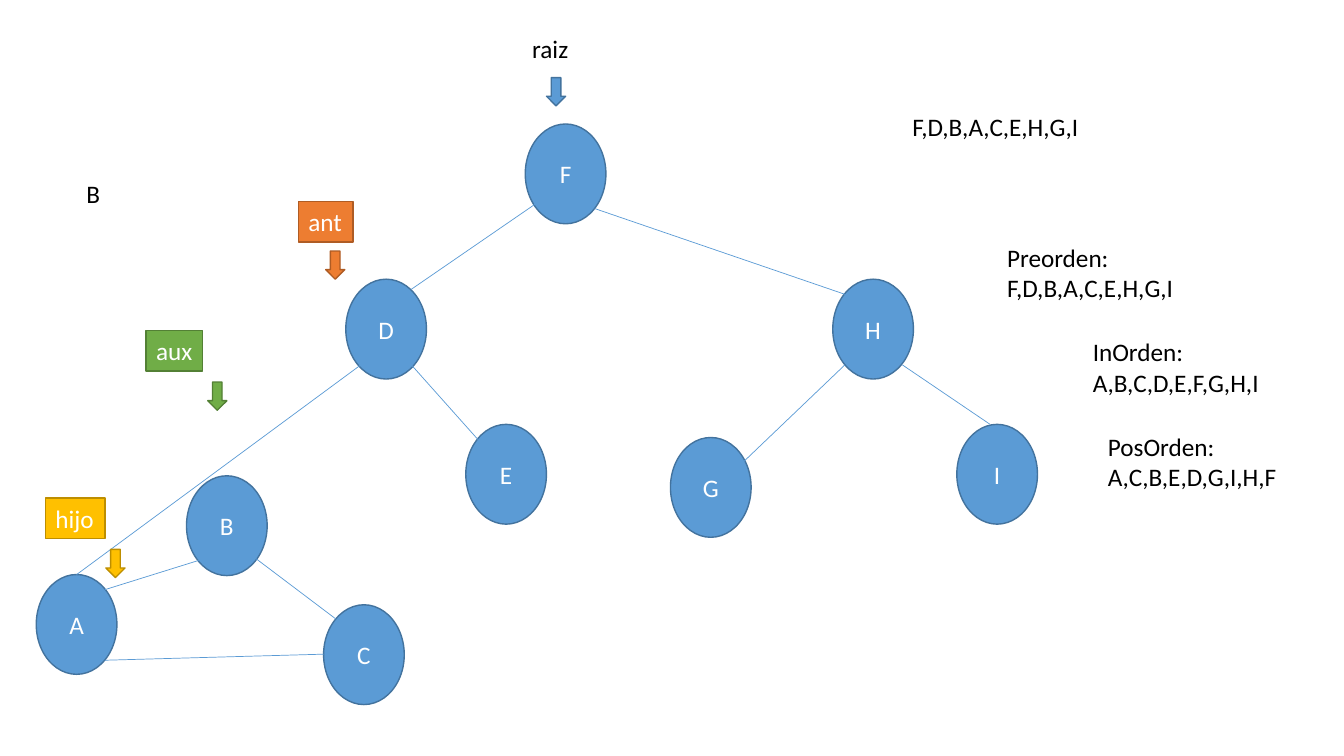
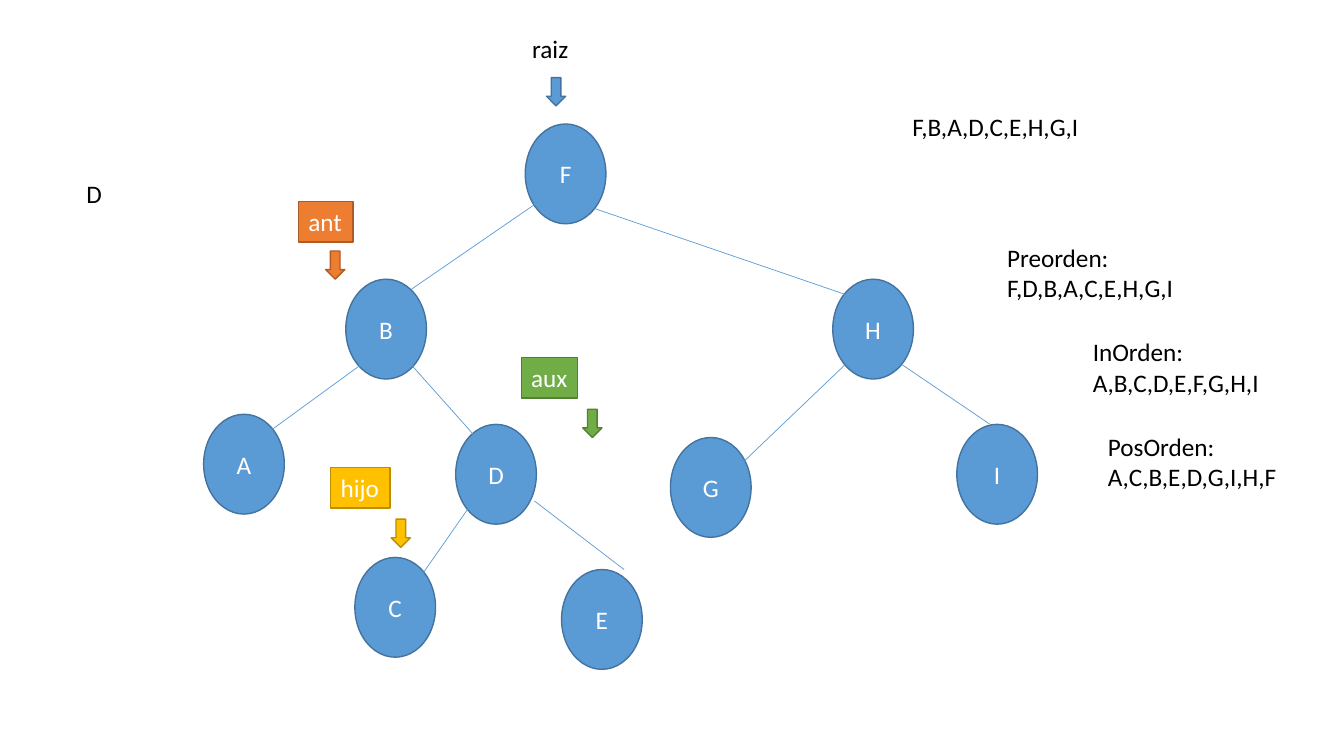
from lxml import etree
from pptx import Presentation
from pptx.dml.color import RGBColor
from pptx.enum.shapes import MSO_CONNECTOR, MSO_SHAPE
from pptx.enum.text import MSO_ANCHOR, MSO_AUTO_SIZE, PP_ALIGN
from pptx.oxml.ns import qn
from pptx.util import Inches, Pt

OVAL, RECT, DOWN = MSO_SHAPE.OVAL, MSO_SHAPE.RECTANGLE, MSO_SHAPE.DOWN_ARROW
LINE = MSO_CONNECTOR.STRAIGHT
MID, TOP = MSO_ANCHOR.MIDDLE, MSO_ANCHOR.TOP
LEFT, CENTER = PP_ALIGN.LEFT, PP_ALIGN.CENTER
GROW = MSO_AUTO_SIZE.SHAPE_TO_FIT_TEXT

HUES = {
    "blue": "5B9BD5", "navy": "43739E",
    "green": "70AD47", "moss": "538035",
    "orange": "ED7D31", "rust": "AF5C24",
    "gold": "FFC000", "ochre": "BD8E00",
    "white": "FFFFFF", "black": "000000",
}
FONT = {"name": "Calibri", "size": Pt(18)}
NODE = {"vertical_anchor": MID, "word_wrap": True}
LABEL = {"vertical_anchor": TOP, "word_wrap": False, "auto_size": GROW}

TAGS = {
    "aux": (0.56, 0.61, 0.51, "green", "moss"),
    "ant": (0.54, 0.27, 0.49, "orange", "rust"),
    "hijo": (0.59, 0.6, 0.51, "gold", "ochre"),
}

NODES = {"F": (5.21, 1.23), "H": (8.26, 2.77), "G": (6.65, 4.34), "I": (9.49, 4.21)}
EDGES = [
    (5.33, 2.01, 4.08, 2.87),
    (5.9, 2.07, 8.38, 2.92),
    (4.08, 3.62, 4.74, 4.36),
    (8.38, 3.62, 7.25, 4.7),
    (8.95, 3.62, 9.82, 4.21),
]
NOTES = [
    ("raiz", 5.18, 0.28, 0.56, 0.4),
    ("Preorden:\nF,D,B,A,C,E,H,G,I", 9.89, 2.35, 1.87, 0.71),
    ("InOrden:\nA,B,C,D,E,F,G,H,I", 10.74, 3.29, 1.86, 0.71),
    ("PosOrden:\nA,C,B,E,D,G,I,H,F", 10.89, 4.23, 1.89, 0.71),
]
TREES = [
    {
        "nodes": {"D": (3.43, 2.77), "B": (1.85, 4.72), "E": (4.62, 4.21),
                  "A": (0.36, 5.7), "C": (3.21, 6)},
        "edges": [(3.66, 3.56, 0.76, 5.7), (1.97, 5.56, 1.04, 5.85),
                  (2.43, 5.46, 3.33, 6.14), (1.04, 6.55, 3.21, 6.49)],
        "tags": {"aux": (1.45, 3.28), "ant": (2.96, 2), "hijo": (0.45, 4.94)},
        "notes": [("B", 0.76, 1.72, 0.34, 0.4),
                  ("F,D,B,A,C,E,H,G,I", 8.95, 1.06, 1.87, 0.4)],
    },
    {
        "nodes": {"B": (3.43, 2.77), "D": (4.52, 4.21), "A": (2.02, 4.11),
                  "E": (5.57, 5.65), "C": (3.52, 5.53)},
        "edges": [(3.66, 3.56, 2.7, 4.26), (5.3, 4.97, 6.19, 5.65),
                  (4.2, 5.68, 4.64, 5.05)],
        "tags": {"aux": (5.17, 3.55), "ant": (2.96, 2), "hijo": (3.28, 4.64)},
        "notes": [("D", 0.76, 1.72, 0.36, 0.4),
                  ("F,B,A,D,C,E,H,G,I", 8.95, 1.06, 1.87, 0.4)],
    },
]


def draw(slide, kind, box, fill, edge):
    shape = slide.shapes.add_shape(kind, *map(Inches, box))
    shape.shadow.inherit = False
    shape.fill.solid()
    shape.fill.fore_color.rgb = RGBColor.from_string(HUES[fill])
    shape.line.color.rgb = RGBColor.from_string(HUES[edge])
    shape.line.width = Pt(1)
    return shape


def write(shape, text, frame, align, hue):
    body = shape.text_frame
    body.text = text
    for key, value in frame.items():
        setattr(body, key, value)
    for para in body.paragraphs:
        para.alignment = align
        font = para.runs[0].font
        for key, value in FONT.items():
            setattr(font, key, value)
        font.color.rgb = RGBColor.from_string(HUES[hue])


deck = Presentation()
deck.slide_width, deck.slide_height = Inches(13.33), Inches(7.5)

for tree in TREES:
    slide = deck.slides.add_slide(deck.slide_layouts[6])

    for name, spot in (NODES | tree["nodes"]).items():
        node = draw(slide, OVAL, (*spot, 0.8, 0.99), "blue", "navy")
        write(node, name, NODE, CENTER, "white")

    for ends in EDGES + tree["edges"]:
        edge = slide.shapes.add_connector(LINE, *map(Inches, ends))
        edge.line.color.rgb = RGBColor.from_string(HUES["blue"])
        edge.line.width = Pt(0.5)
        etree.SubElement(edge._element.spPr, qn("a:effectLst"))

    draw(slide, DOWN, (5.42, 0.77, 0.19, 0.28), "blue", "navy")
    for name, (left, top) in tree["tags"].items():
        width, right, drop, fill, rim = TAGS[name]
        draw(slide, DOWN, (left + right, top + drop, 0.19, 0.28), fill, rim)
        tag = draw(slide, RECT, (left, top, width, 0.4), fill, rim)
        write(tag, name, LABEL, LEFT, "white")

    for text, *box in NOTES + tree["notes"]:
        note = slide.shapes.add_textbox(*map(Inches, box))
        write(note, text, LABEL, LEFT, "black")

deck.save("out.pptx")
